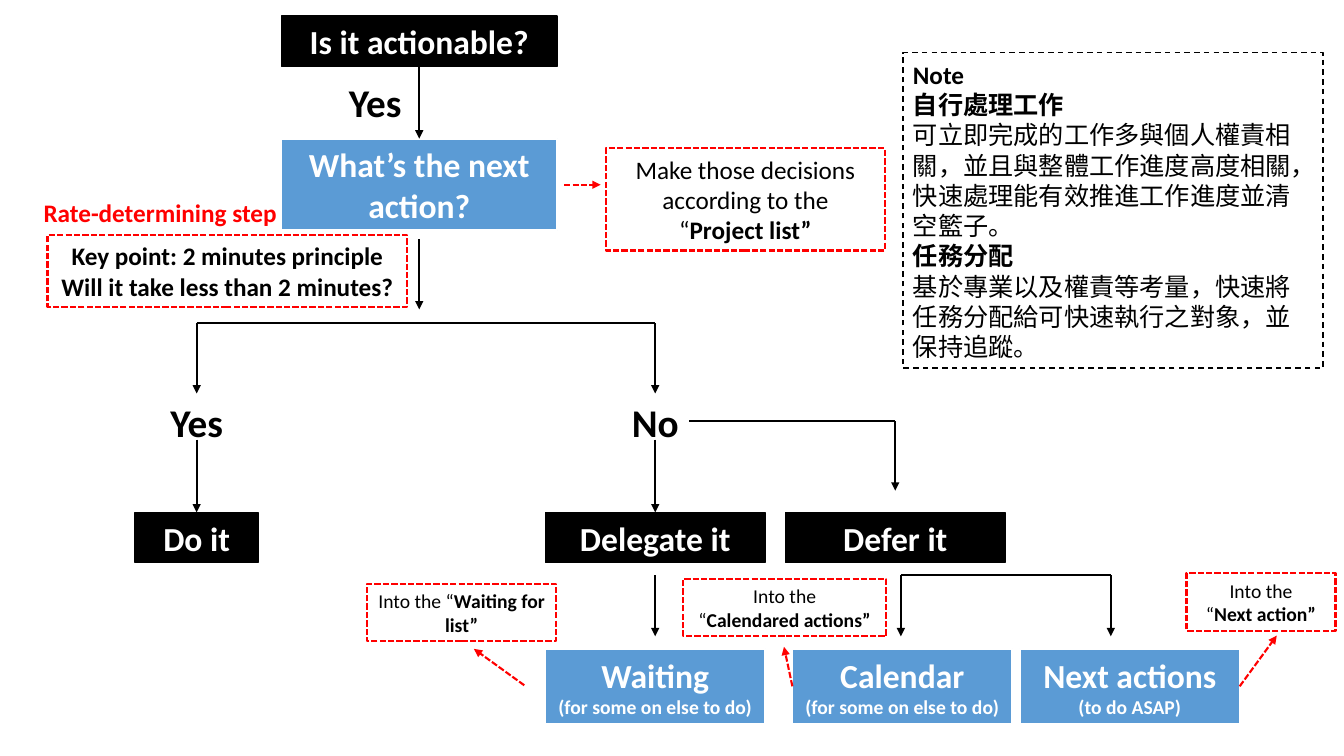
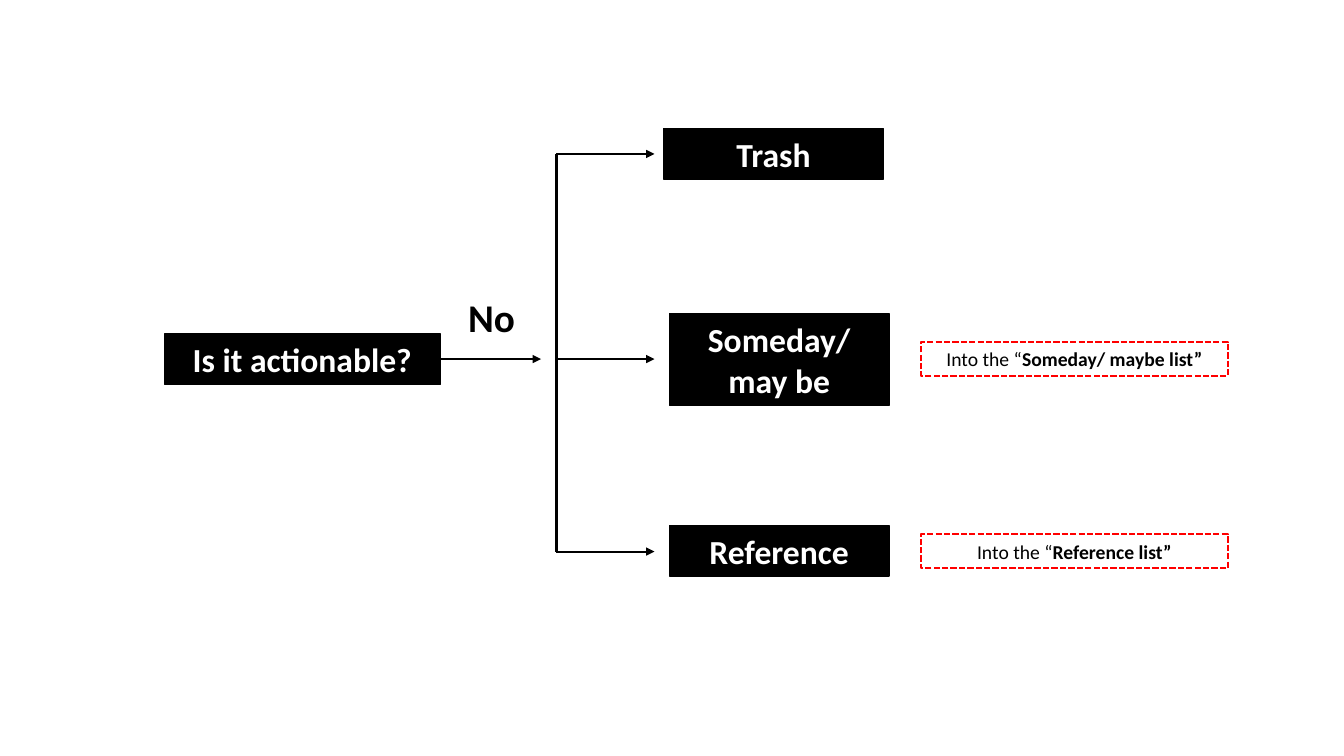
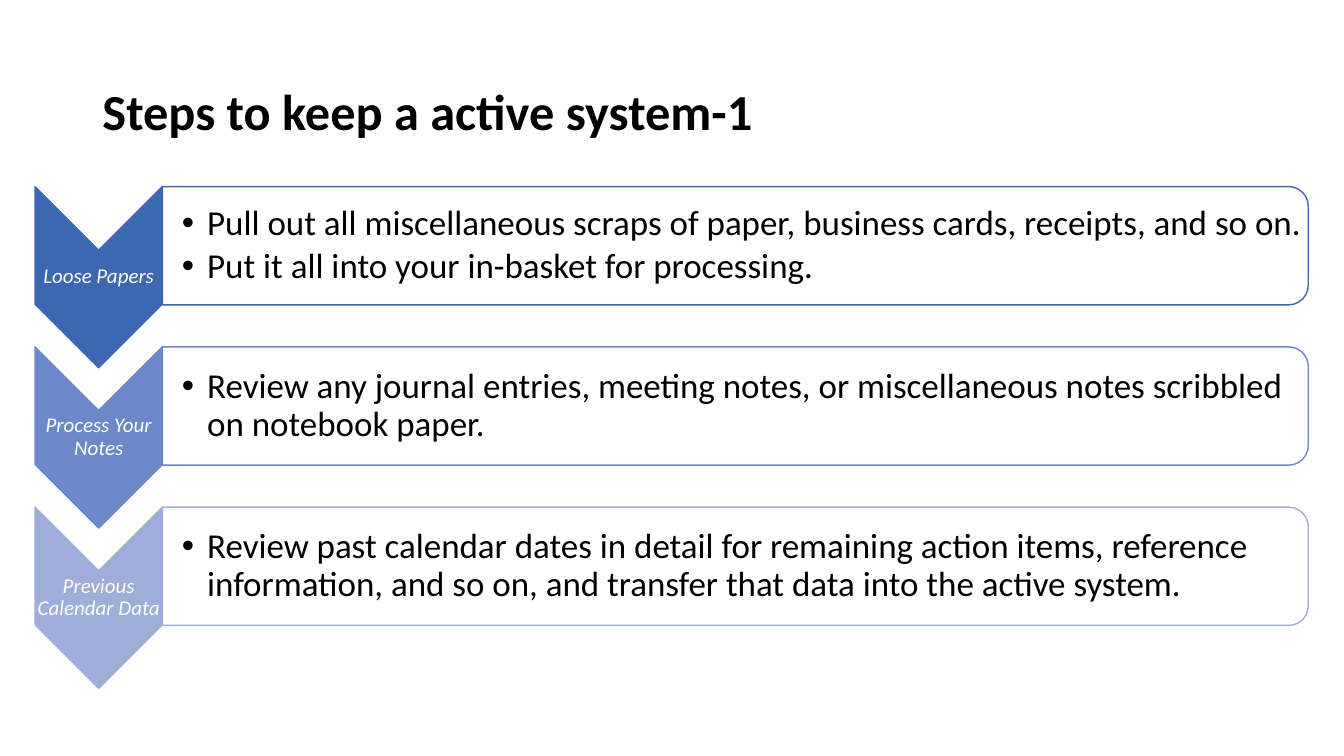
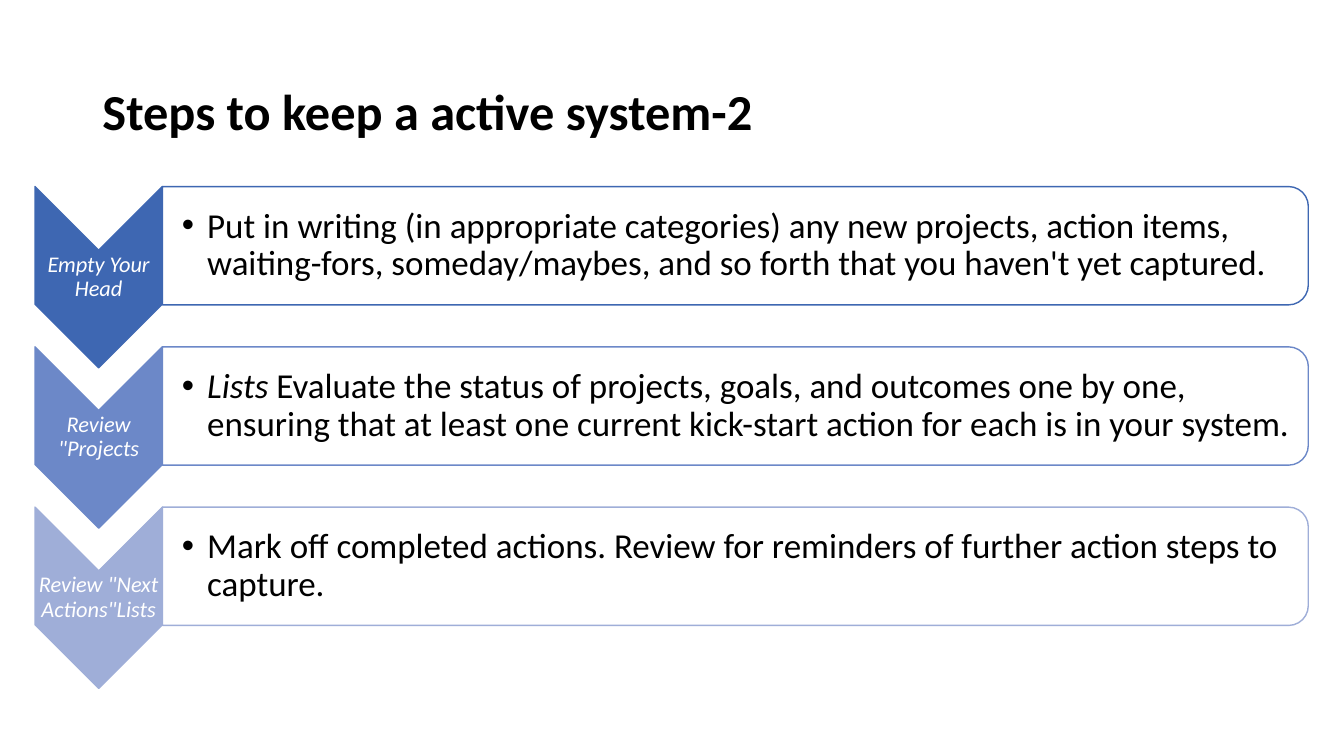
from dataclasses import dataclass, replace
from typing import Optional

from lxml import etree
from pptx import Presentation
from pptx.dml.color import RGBColor
from pptx.enum.dml import MSO_LINE
from pptx.enum.shapes import MSO_CONNECTOR, MSO_SHAPE
from pptx.enum.text import MSO_ANCHOR, MSO_AUTO_SIZE, PP_ALIGN
from pptx.oxml.ns import qn
from pptx.util import Pt

LEFT, CENTER = PP_ALIGN.LEFT, PP_ALIGN.CENTER
MIDDLE = MSO_ANCHOR.MIDDLE
DASH, FINE_DASH = MSO_LINE.DASH, MSO_LINE.SQUARE_DOT
RECT, CHEVRON, PANEL = MSO_SHAPE.RECTANGLE, MSO_SHAPE.CHEVRON, MSO_SHAPE.ROUND_2_SAME_RECTANGLE
STRAIGHT = MSO_CONNECTOR.STRAIGHT
TOP_SIDE, LEFT_SIDE, BOTTOM_SIDE, RIGHT_SIDE = range(4)
BLANK_LAYOUT, COMPARISON_LAYOUT = 6, 4

FONT = "Calibri"
BLACK, WHITE, RED, BLUE = "000000", "FFFFFF", "FF0000", "5B9BD5"
STEP_COLORS = ("3E67B2", "6C88C8", "9FAED8")


@dataclass(frozen=True)
class TextStyle:
    size: float
    color: str = BLACK
    bold: bool = False
    italic: bool = False
    align: PP_ALIGN = CENTER
    spacing: Optional[float] = None
    detail_size: Optional[float] = None  # size of the paragraphs after the first


@dataclass(frozen=True)
class BoxStyle:
    text: TextStyle
    fill: Optional[str] = None
    line: Optional[str] = None
    line_width: float = 1.5
    dash: Optional[MSO_LINE] = None


@dataclass(frozen=True)
class Box:
    left: float
    top: float
    width: float
    height: float
    style: BoxStyle
    text: str  # one paragraph a line; *stars* switch the emphasis


@dataclass(frozen=True)
class Line:
    x1: float
    y1: float
    x2: float
    y2: float
    color: str = BLACK
    dash: Optional[MSO_LINE] = None
    arrow: bool = True
    start: Optional[tuple[str, int]] = None  # first line of a box, side
    end: Optional[tuple[str, int]] = None


@dataclass(frozen=True)
class Step:
    label: str
    points: str


HEADING = TextStyle(24, WHITE, bold=True, detail_size=14)
DECISION = BoxStyle(HEADING, BLACK, BLACK, 1)
ACTION = BoxStyle(HEADING, BLUE, WHITE)
HINT = BoxStyle(TextStyle(14), line=RED, dash=FINE_DASH)
BIG_HINT = replace(HINT, text=TextStyle(18))
NOTE = BoxStyle(TextStyle(18, align=LEFT), WHITE, BLACK, 1, DASH)
ANSWER = BoxStyle(TextStyle(28, bold=True))
REMARK = BoxStyle(TextStyle(18, RED, bold=True, align=LEFT))
TITLE = TextStyle(36, bold=True, align=LEFT, spacing=0.9)
BULLET = TextStyle(25, align=LEFT, spacing=0.9)
LABEL = TextStyle(15, WHITE, italic=True, spacing=0.9)


def rgb(hex_color: str) -> RGBColor:
    return RGBColor.from_string(hex_color)


def place(shape, left: float, top: float, width: float, height: float) -> None:
    shape.left, shape.top, shape.width, shape.height = map(Pt, (left, top, width, height))


def write(tf, text: str, style: TextStyle, mark: str = "bold", bullets: bool = False) -> None:
    """Fill a text frame; starred pieces switch the attribute named by mark."""
    tf.word_wrap = True
    tf.auto_size = MSO_AUTO_SIZE.NONE
    tf.vertical_anchor = MIDDLE
    for i, line in enumerate(text.split("\n")):
        p = tf.add_paragraph() if i else tf.paragraphs[0]
        if bullets:
            add_bullet(p)
            p.space_before = Pt(3.75 if i else 0)
        p.alignment = style.align
        if style.spacing:
            p.line_spacing = style.spacing
        for j, piece in enumerate(line.split("*")):
            if not piece:
                continue
            r = p.add_run()
            r.text = piece
            font = r.font
            font.name = FONT
            font.size = Pt(style.detail_size if i and style.detail_size else style.size)
            font.color.rgb = rgb(style.color)
            font.bold, font.italic = style.bold, style.italic
            if j % 2:
                setattr(font, mark, True)


def add_bullet(p) -> None:
    pPr = p._p.get_or_add_pPr()
    pPr.set("marL", str(int(Pt(18))))
    pPr.set("indent", str(int(Pt(-18))))
    etree.SubElement(pPr, qn("a:buFont")).set("typeface", "Arial")
    etree.SubElement(pPr, qn("a:buChar")).set("char", "•")


def set_margins(tf, left: float, other: float) -> None:
    tf.margin_left = Pt(left)
    tf.margin_right = tf.margin_top = tf.margin_bottom = Pt(other)


def paint(shape, fill: Optional[str], line: str, width: float) -> None:
    shape.shadow.inherit = False
    if fill:
        shape.fill.solid()
        shape.fill.fore_color.rgb = rgb(fill)
    else:
        shape.fill.background()
    shape.line.color.rgb = rgb(line)
    shape.line.width = Pt(width)


def draw_box(s, box: Box):
    frame = [Pt(v) for v in (box.left, box.top, box.width, box.height)]
    style = box.style
    if style.line:
        shape = s.shapes.add_shape(RECT, *frame)
        paint(shape, style.fill, style.line, style.line_width)
        if style.dash:
            shape.line.dash_style = style.dash
    else:
        shape = s.shapes.add_textbox(*frame)
    write(shape.text_frame, box.text, style.text)
    return shape


def draw_line(s, line: Line, boxes: dict) -> None:
    c = s.shapes.add_connector(STRAIGHT, Pt(line.x1), Pt(line.y1), Pt(line.x2), Pt(line.y2))
    if line.start:
        c.begin_connect(boxes[line.start[0]], line.start[1])
    if line.end:
        c.end_connect(boxes[line.end[0]], line.end[1])
    c.line.color.rgb = rgb(line.color)
    c.line.width = Pt(1.5)
    if line.dash:
        c.line.dash_style = line.dash
    spPr = c.element.spPr
    if line.arrow:
        etree.SubElement(spPr.find(qn("a:ln")), qn("a:tailEnd")).set("type", "triangle")
    etree.SubElement(spPr, qn("a:effectLst"))


def pointer(x1: float, y1: float, x2: float, y2: float,
            start: Optional[tuple[str, int]] = None) -> Line:
    """Red dashed arrow towards a hint."""
    return Line(x1, y1, x2, y2, RED, FINE_DASH, start=start)


def add_flow_slide(prs, boxes: list[Box], lines: list[Line]) -> None:
    s = prs.slides.add_slide(prs.slide_layouts[BLANK_LAYOUT])
    drawn = {box.text.split("\n")[0]: draw_box(s, box) for box in boxes}
    for line in lines:
        draw_line(s, line, drawn)


def add_turned(s, kind: MSO_SHAPE, left: float, top: float, width: float, height: float,
               fill: str, line: str):
    """Add a shape turned a quarter right that covers the given area."""
    x, y = left + (width - height) / 2, top + (height - width) / 2
    shape = s.shapes.add_shape(kind, Pt(x), Pt(y), Pt(height), Pt(width))
    shape.rotation = 90
    paint(shape, fill, line, 1)
    return shape


def add_steps_slide(prs, title: str, steps: list[Step], label_size: float) -> None:
    s = prs.slides.add_slide(prs.slide_layouts[COMPARISON_LAYOUT])
    place(s.shapes.title, 66, 29, 828, 104.5)
    write(s.shapes.title.text_frame, title, TITLE)
    _, *bodies = s.placeholders
    for spare in bodies[len(steps):]:
        spare.element.getparent().remove(spare.element)

    left, chevron_width, row_pitch = 25, 91, 114.5
    panel_left = left + chevron_width
    for i, (step, body, color) in enumerate(zip(steps, bodies, STEP_COLORS)):
        top = 133.25 + i * row_pitch
        # Chevron and its label
        add_turned(s, CHEVRON, left, top, chevron_width, 129.5, color, color)
        label = s.shapes.add_textbox(Pt(left), Pt(top + 45.25), Pt(chevron_width), Pt(39))
        set_margins(label.text_frame, 0.7, 0.7)
        write(label.text_frame, step.label, replace(LABEL, size=label_size))
        # Panel with the list in front of it
        panel = add_turned(s, PANEL, panel_left, top, 818.5, 84.5, WHITE, color)
        panel.element.addnext(body.element)
        place(body, panel_left, top + 4.25, 815, 76)
        set_margins(body.text_frame, 14, 1)
        write(body.text_frame, step.points, BULLET, "italic", bullets=True)


def main() -> None:
    prs = Presentation()
    prs.slide_width, prs.slide_height = Pt(960), Pt(540)

    # Actionable: yes
    main_x, yes_x, no_x = 299.5, 140.5, 468
    calendar_x, next_x, defer_x = 643.5, 793.5, 639.5
    add_flow_slide(prs, [
        Box(201, 11.5, 197, 36, DECISION, "Is it actionable?"),
        Box(201, 99, 197, 65.5, ACTION, "What’s the next action?"),
        Box(34, 168, 257, 51, BIG_HINT,
            "*Key point: 2 minutes principle*\n*Will it take less than 2 minutes?*"),
        Box(24, 137, 184, 29, REMARK, "Rate-determining step"),
        Box(433, 106, 199, 73, BIG_HINT,
            "Make those decisions according to the\n“*Project list”*"),
        Box(645, 37.5, 300, 225.5, NOTE,
            "*Note*\n*自行處理工作*\n"
            "可立即完成的工作多與個人權責相關，並且與整體工作進度高度相關，"
            "快速處理能有效推進工作進度並清空籃子。\n"
            "*任務分配*\n"
            "基於專業以及權責等考量，快速將任務分配給可快速執行之對象，並保持追蹤。"),
        Box(238, 52, 60, 41, ANSWER, "Yes"),
        Box(yes_x - 30, 281, 60, 41, ANSWER, "Yes"),
        Box(no_x - 30, 281, 60, 41, ANSWER, "No"),
        Box(96.5, 366, 88, 36, DECISION, "Do it"),
        Box(389.5, 366, 157, 36, DECISION, "Delegate it"),
        Box(561, 366, 157, 36, DECISION, "Defer it"),
        Box(389.5, 463.5, 157, 53.5, ACTION, "Waiting\n(for some on else to do)"),
        Box(566, 463.5, 157, 53.5, ACTION, "Calendar\n(for some on else to do)"),
        Box(728.5, 463.5, 157, 53.5, ACTION, "Next actions\n(to do ASAP)"),
        Box(262, 417, 135.5, 41, HINT, "Into the “*Waiting for list”*"),
        Box(488, 413.5, 145, 41, HINT, "Into the\n“*Calendared actions”*"),
        Box(847.5, 409.5, 106.5, 41, HINT, "Into the\n“*Next action”*"),
    ], [
        Line(main_x, 47.5, main_x, 99, start=("Is it actionable?", BOTTOM_SIDE),
             end=("What’s the next action?", TOP_SIDE)),
        Line(main_x, 171, main_x, 221),
        Line(yes_x, 231, no_x, 231, arrow=False),
        Line(yes_x, 231, yes_x, 281),
        Line(no_x, 231, no_x, 281),
        Line(yes_x, 314, yes_x, 366, end=("Do it", TOP_SIDE)),
        Line(no_x, 314, no_x, 366, end=("Delegate it", TOP_SIDE)),
        Line(492.5, 301, defer_x, 301, arrow=False),
        Line(defer_x, 301, defer_x, 350.5),
        Line(no_x, 411, no_x, 454.5),
        Line(calendar_x, 411, next_x, 411, arrow=False),
        Line(calendar_x, 411, calendar_x, 454.5),
        Line(next_x, 411, next_x, 454.5),
        pointer(403, 132, 429, 132),
        pointer(374.5, 489.5, 338.5, 463.5),
        pointer(566, 490.25, 560, 462, ("Calendar", LEFT_SIDE)),
        pointer(885.5, 490.25, 912, 454, ("Next actions", RIGHT_SIDE)),
    ])

    # Actionable: no
    trunk_x, branch_ys = 397.5, (110, 256.5, 394)
    add_flow_slide(prs, [
        Box(117.5, 238.5, 197, 36, DECISION, "Is it actionable?"),
        Box(321, 206, 60, 41, ANSWER, "No"),
        Box(474, 92, 157, 36, DECISION, "Trash"),
        Box(478, 224, 157, 65.5, DECISION, "Someday/ may be"),
        Box(478, 375.5, 157, 36, DECISION, "Reference"),
        Box(658, 244, 219, 24.5, HINT, "Into the “*Someday/ maybe list”*"),
        Box(658, 381.5, 219, 24.5, HINT, "Into the “*Reference list”*"),
    ], [
        Line(314.5, 256.5, 386.5, 256.5, start=("Is it actionable?", RIGHT_SIDE)),
        Line(trunk_x, branch_ys[0], trunk_x, branch_ys[-1], arrow=False),
        *(Line(trunk_x, y, 467.5, y) for y in branch_ys),
    ])

    # Weekly steps
    add_steps_slide(prs, "Steps to keep a active system-1", [
        Step("Loose Papers",
             "Pull out all miscellaneous scraps of paper, business cards, receipts, and so on.\n"
             "Put it all into your in-basket for processing."),
        Step("Process Your Notes",
             "Review any journal entries, meeting notes, or miscellaneous notes scribbled "
             "on notebook paper."),
        Step("Previous Calendar Data",
             "Review past calendar dates in detail for remaining action items, reference "
             "information, and so on, and transfer that data into the active system."),
    ], 15)
    add_steps_slide(prs, "Steps to keep a active system-2", [
        Step("Empty Your Head",
             "Put in writing (in appropriate categories) any new projects, action items, "
             "waiting-fors, someday/maybes, and so forth that you haven't yet captured."),
        Step('Review "Projects',
             "*Lists *Evaluate the status of projects, goals, and outcomes one by one, "
             "ensuring that at least one current kick-start action for each is in your system."),
        Step('Review "Next Actions"Lists',
             "Mark off completed actions. Review for reminders of further action steps "
             "to capture."),
    ], 16)

    prs.save("out.pptx")


if __name__ == "__main__":
    main()
